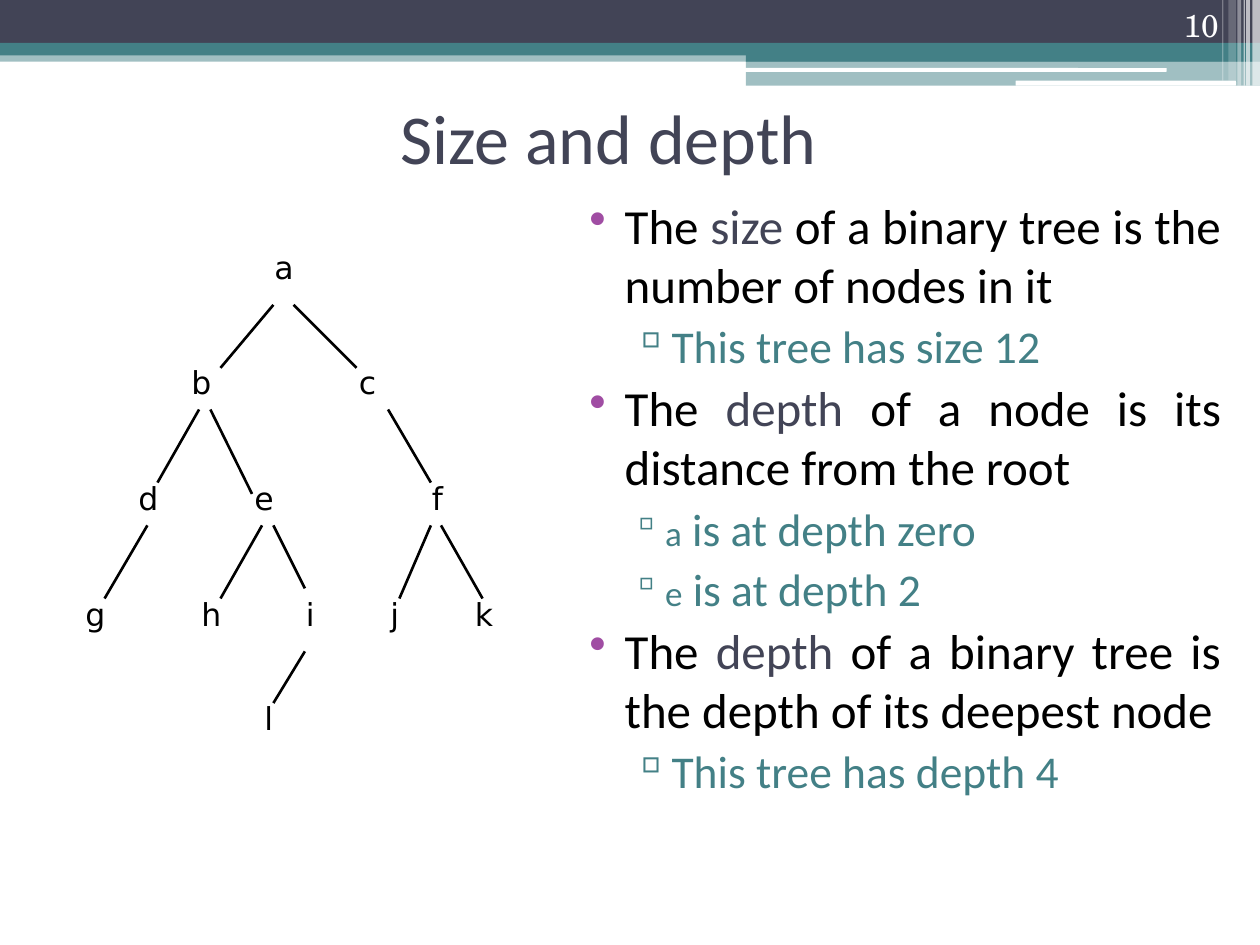
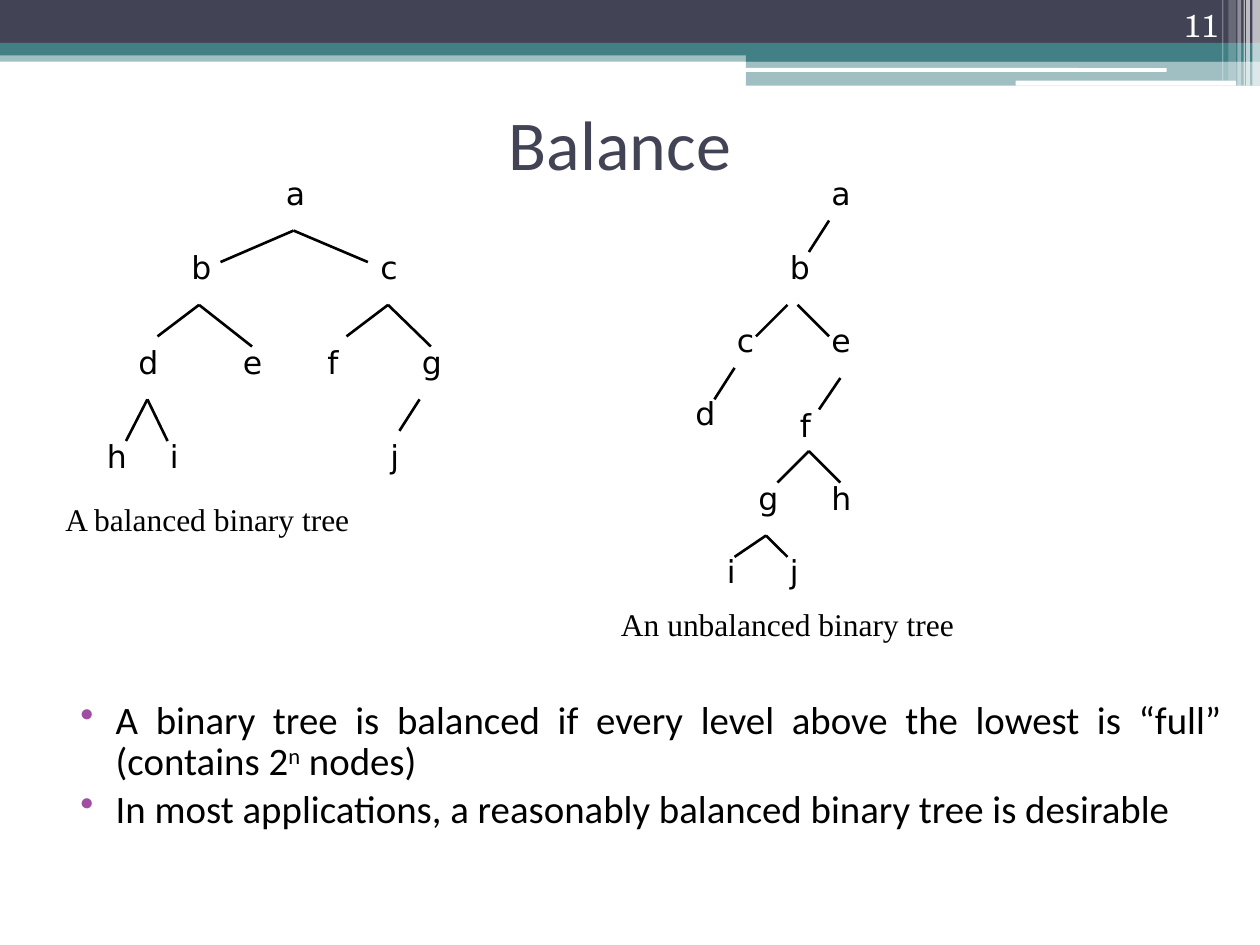
from lxml import etree
from pptx import Presentation
from pptx.dml.color import RGBColor
from pptx.enum.shapes import MSO_CONNECTOR, MSO_SHAPE
from pptx.enum.text import MSO_ANCHOR, PP_ALIGN
from pptx.oxml.ns import qn
from pptx.util import Inches, Pt

RECT, ROUND = MSO_SHAPE.RECTANGLE, MSO_SHAPE.ROUNDED_RECTANGLE
STRAIGHT = MSO_CONNECTOR.STRAIGHT
TOP, MIDDLE, BOTTOM = MSO_ANCHOR.TOP, MSO_ANCHOR.MIDDLE, MSO_ANCHOR.BOTTOM
LEFT, CENTER, RIGHT = PP_ALIGN.LEFT, PP_ALIGN.CENTER, PP_ALIGN.RIGHT
JUSTIFY = PP_ALIGN.JUSTIFY

SLATE = RGBColor(0x42, 0x44, 0x56)
TEAL = RGBColor(0x43, 0x80, 0x86)
PURPLE = RGBColor(0xA0, 0x4D, 0xA3)
WHITE = RGBColor(0xFF, 0xFF, 0xFF)
BLACK = RGBColor(0, 0, 0)

SANS, SERIF = "Calibri", "Times New Roman"
NODE_FONT, PAGE_FONT = "DejaVu Sans", "TeX Gyre Schola"

# left, top, width, height, colour, opacity in percent
BANDS = [
    (0, 0.4, 10, 0.09, TEAL, 50),
    (0, 0, 10, 0.34, SLATE, 100),
    (0, 0.34, 10, 0.1, TEAL, 100),
    (5.92, 0.39, 4.08, 0.1, TEAL, 100),
    (5.92, 0.48, 4.08, 0.2, TEAL, 50),
]
PILLS = [(5.91, 0.54, 3.35, 0.03), (8.06, 0.64, 1.75, 0.04)]
# left, width, height, opacity in percent
STRIPES = [
    (9.94, 0.06, 0.68, 65), (9.89, 0.03, 0.68, 65), (9.87, 0.01, 0.68, 60),
    (9.82, 0.03, 0.68, 40), (9.75, 0.06, 0.64, 20), (9.7, 0.01, 0.64, 30),
]

# Bullet levels: mark, mark colour, text colour, left margin, indent
LEVELS = [
    ("•", PURPLE, BLACK, 0.4, -0.28),
    ("▫", TEAL, TEAL, 0.72, -0.27),
]

# Trees: rows map a top to the nodes and their lefts; edges are x1, y1, x2, y2
SIZE_ROWS = {
    1.92: {"a": 2.08},
    2.83: {"b": 1.42, "c": 2.75},
    3.75: {"d": 1, "e": 1.92, "f": 3.33},
    4.67: {"g": 0.58, "h": 1.5, "i": 2.33, "j": 3, "k": 3.67},
    5.5: {"l": 2},
}
SIZE_EDGES = [
    (2.17, 2.42, 1.75, 2.92), (2.33, 2.42, 2.83, 2.92),
    (1.58, 3.25, 1.25, 3.83), (1.67, 3.25, 2, 3.92), (3.08, 3.25, 3.42, 3.83),
    (1.17, 4.17, 0.83, 4.75), (2.08, 4.17, 1.75, 4.75), (2.17, 4.17, 2.42, 4.67),
    (2.42, 5.17, 2.17, 5.58), (3.42, 4.17, 3.17, 4.75), (3.5, 4.17, 3.83, 4.75),
]
EVEN_ROWS = {
    1.33: {"a": 2.17},
    1.92: {"b": 1.42, "c": 2.92},
    2.67: {"d": 1, "e": 1.83, "f": 2.5, "g": 3.25},
    3.42: {"h": 0.75, "i": 1.25, "j": 3},
}
EVEN_EDGES = [
    (2.33, 1.83, 1.75, 2.08), (2.33, 1.83, 2.92, 2.08),
    (1.58, 2.42, 1.25, 2.67), (1.58, 2.42, 2, 2.75),
    (3.08, 2.42, 2.75, 2.67), (3.08, 2.42, 3.42, 2.75),
    (1.17, 3.17, 1, 3.5), (1.17, 3.17, 1.33, 3.5), (3.33, 3.17, 3.17, 3.42),
]
SKEW_ROWS = {
    1.33: {"a": 6.5},
    1.92: {"b": 6.17},
    2.5: {"c": 5.75, "e": 6.5},
    3.08: {"d": 5.42},
    3.17: {"f": 6.25},
    3.75: {"g": 5.92, "h": 6.5},
    4.33: {"i": 5.67, "j": 6.17},
}
SKEW_EDGES = [
    (6.58, 1.75, 6.42, 2), (6.25, 2.42, 6, 2.67), (5.83, 2.92, 5.67, 3.17),
    (6.33, 2.42, 6.58, 2.67), (6.67, 3, 6.5, 3.25),
    (6.42, 3.58, 6.17, 3.83), (6.42, 3.58, 6.67, 3.83),
    (6.08, 4.25, 5.83, 4.42), (6.08, 4.25, 6.25, 4.42),
]


def add_run(para, text, font=SANS, size=18, color=BLACK, base=0):
    run = para.add_run()
    run.text = text
    run.font.name = font
    run.font.size = Pt(size)
    run.font.color.rgb = color
    if base:
        run.font._element.set("baseline", str(base * 1000))


def add_frame(shapes, box, anchor=TOP):
    frame = shapes.add_textbox(*map(Inches, box)).text_frame
    frame.word_wrap = True
    frame.vertical_anchor = anchor
    return frame


def add_text(shapes, text, box, align=LEFT, anchor=TOP, **style):
    para = add_frame(shapes, box, anchor).paragraphs[0]
    para.alignment = align
    add_run(para, text, **style)


def add_bar(slide, box, color, alpha=100, kind=RECT):
    bar = slide.shapes.add_shape(kind, *map(Inches, box))
    bar.shadow.inherit = False
    bar.fill.solid()
    bar.fill.fore_color.rgb = color
    bar.line.fill.background()
    if alpha < 100:
        tint = bar.fill._xPr.find(".//" + qn("a:srgbClr"))
        etree.SubElement(tint, qn("a:alpha"), val=str(alpha * 1000))


def add_edge(shapes, ends):
    edge = shapes.add_connector(STRAIGHT, *map(Inches, ends))
    edge.line.color.rgb = BLACK
    edge.line.width = Pt(1.5)
    etree.SubElement(edge._element.spPr, qn("a:effectLst"))


def add_tree(slide, rows, edges):
    """Draw a tree as one group and return the shapes of the group."""
    shapes = slide.shapes.add_group_shape().shapes
    for top, nodes in rows.items():
        for name, left in nodes.items():
            add_text(shapes, name, (left, top, 0.42, 0.5), font=NODE_FONT)
    for ends in edges:
        add_edge(shapes, ends)
    return shapes


def set_bullet(para, level):
    mark, color, _, margin, indent = LEVELS[level]
    para.level = level
    props = para._p.get_or_add_pPr()
    props.set("marL", str(Inches(margin)))
    props.set("indent", str(Inches(indent)))
    tint = etree.SubElement(props, qn("a:buClr"))
    etree.SubElement(tint, qn("a:srgbClr"), val=str(color))
    etree.SubElement(props, qn("a:buChar"), char=mark)


def add_list(slide, box, items, sizes, spacing=None):
    """Each item is a level and its runs; a run is a text and its format."""
    frame = add_frame(slide.shapes, box)
    for i, (level, runs) in enumerate(items):
        para = frame.add_paragraph() if i else frame.paragraphs[0]
        para.alignment = JUSTIFY
        para.space_before = Pt(3)
        if spacing:
            para.line_spacing = spacing
        set_bullet(para, level)
        plain = {"size": sizes[level], "color": LEVELS[level][2]}
        for text, style in runs:
            add_run(para, text, **{**plain, **style})


def add_slide(deck, title, left, top, page):
    """Add a slide with the bands, the page number and the title."""
    slide = deck.slides.add_slide(deck.slide_layouts[6])
    for *box, color, alpha in BANDS:
        add_bar(slide, box, color, alpha)
    for box in PILLS:
        add_bar(slide, box, WHITE, kind=ROUND)
    for x, width, height, alpha in STRIPES:
        add_bar(slide, (x, 0, width, height), WHITE, alpha)
    add_text(slide.shapes, title, (left, top, 9, 1.17), align=CENTER,
             anchor=MIDDLE, size=40, color=SLATE)
    add_text(slide.shapes, str(page), (8.94, 0, 0.83, 0.4), align=RIGHT,
             anchor=BOTTOM, font=PAGE_FONT, color=WHITE)
    return slide


def add_size(deck):
    slide = add_slide(deck, "Size and depth", 0.33, 0.5, 10)
    term, small = {"color": SLATE}, {"size": 20}
    add_list(slide, (4.46, 1.5, 5.33, 5.21), [
        (0, [("The ", {}), ("size", term),
             (" of a binary tree is the number of nodes in it", {})]),
        (1, [("This tree has size 12", {})]),
        (0, [("The ", {}), ("depth", term),
             (" of a node is its distance from the root", {})]),
        (1, [("a", small), (" is at depth zero", {})]),
        (1, [("e", small), (" is at depth 2", {})]),
        (0, [("The ", {}), ("depth", term),
             (" of a binary tree is the depth of its deepest node", {})]),
        (1, [("This tree has depth 4", {})]),
    ], sizes=(28, 26))
    add_tree(slide, SIZE_ROWS, SIZE_EDGES)


def add_balance(deck):
    slide = add_slide(deck, "Balance", 0.42, 0.55, 11)
    add_list(slide, (0.42, 5.51, 9.38, 1.19), [
        (0, [("A binary tree is balanced if every level above the lowest "
              "is “full” (contains 2", {}), ("n", {"base": 30}),
             (" nodes)", {})]),
        (0, [("In most applications, a reasonably balanced binary tree "
              "is desirable", {})]),
    ], sizes=(22.2,), spacing=0.9)
    even = add_tree(slide, EVEN_ROWS, EVEN_EDGES)
    add_text(even, "A balanced binary tree", (0.42, 3.92, 3.42, 0.5),
             font=SERIF)
    skew = add_tree(slide, SKEW_ROWS, SKEW_EDGES)
    add_text(skew, "An unbalanced binary tree", (4.83, 4.75, 3.75, 0.5),
             font=SERIF)


def main():
    deck = Presentation()
    deck.slide_width, deck.slide_height = Inches(10), Inches(7.5)
    add_size(deck)
    add_balance(deck)
    deck.save("out.pptx")


if __name__ == "__main__":
    main()
